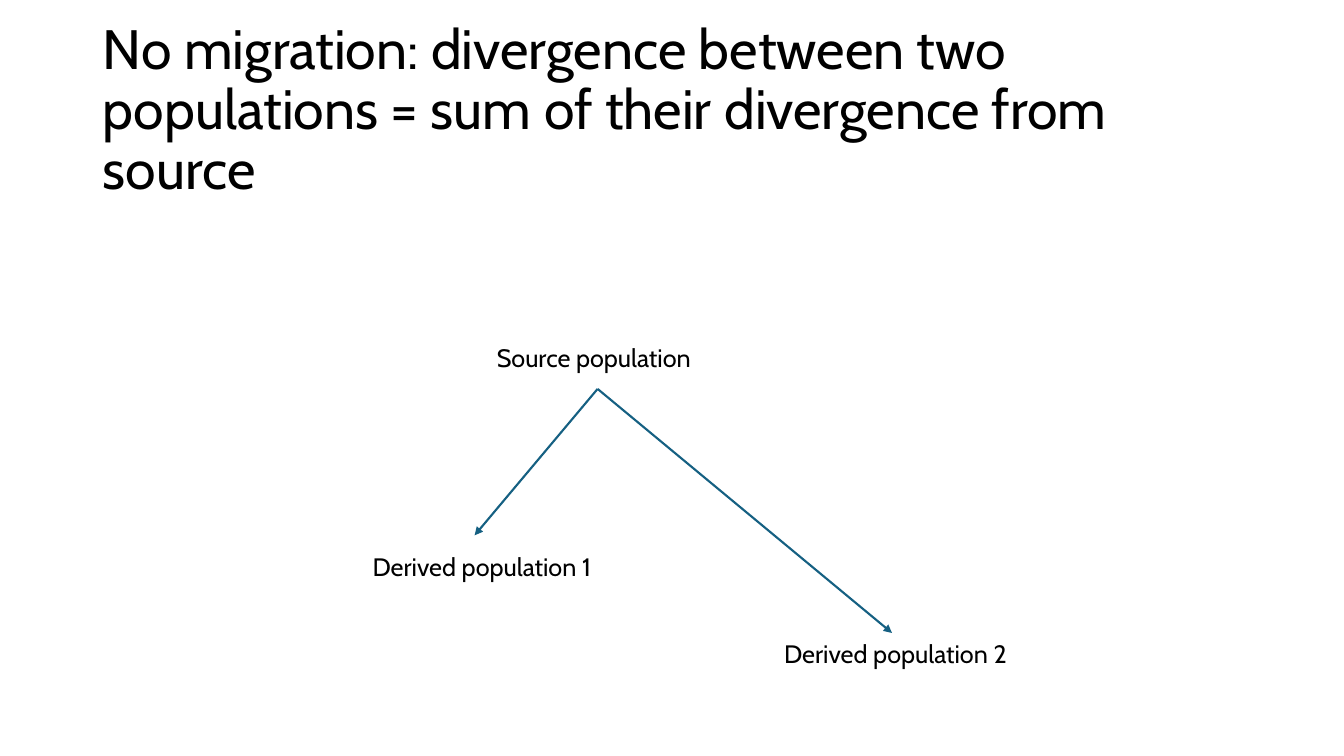
"""Build a slide on divergence of two populations from one source."""
import dataclasses

import lxml.etree
import pptx
import pptx.dml.color
import pptx.enum.shapes
import pptx.enum.text
import pptx.oxml.ns
import pptx.util
from pptx.util import Cm


@dataclasses.dataclass(frozen=True)
class Theme:
    font: str = "Cabin"
    text: str = "000000"
    arrow: str = "156082"
    title_size: float = 39.6
    label_size: float = 18
    arrow_width: float = 1.5


THEME = Theme()


def color(value):
    return pptx.dml.color.RGBColor.from_string(value)


def style_text(frame, text, size):
    frame.text = text
    paragraph = frame.paragraphs[0]
    paragraph.font.name = THEME.font
    paragraph.font.size = pptx.util.Pt(size)
    paragraph.font.color.rgb = color(THEME.text)
    return paragraph


def set_title(slide, text):
    title = slide.shapes.title
    title.left, title.top = Cm(2.34), Cm(0.97)
    title.width, title.height = Cm(29.21), Cm(3.68)
    frame = title.text_frame
    frame.word_wrap = True
    frame.auto_size = pptx.enum.text.MSO_AUTO_SIZE.NONE
    frame.vertical_anchor = pptx.enum.text.MSO_ANCHOR.MIDDLE
    paragraph = style_text(frame, text, THEME.title_size)
    paragraph.alignment = pptx.enum.text.PP_ALIGN.LEFT
    paragraph.line_spacing = 0.9


def add_label(slide, text, left, top, width):
    label = slide.shapes.add_textbox(Cm(left), Cm(top), Cm(width), Cm(1.02))
    frame = label.text_frame
    frame.word_wrap = False
    frame.auto_size = pptx.enum.text.MSO_AUTO_SIZE.SHAPE_TO_FIT_TEXT
    style_text(frame, text, THEME.label_size)


def add_arrow(slide, start, end):
    arrow = slide.shapes.add_connector(
        pptx.enum.shapes.MSO_CONNECTOR.STRAIGHT, *map(Cm, start + end))
    arrow.line.color.rgb = color(THEME.arrow)
    arrow.line.width = pptx.util.Pt(THEME.arrow_width)
    qn = pptx.oxml.ns.qn
    properties = arrow.element.spPr
    lxml.etree.SubElement(properties.find(qn("a:ln")), qn("a:tailEnd"), type="triangle")
    lxml.etree.SubElement(properties, qn("a:effectLst"))


def main():
    deck = pptx.Presentation()
    deck.slide_width, deck.slide_height = Cm(33.87), Cm(19.05)
    slide = deck.slides.add_slide(deck.slide_layouts.get_by_name("Title Only"))
    set_title(slide, "No migration: divergence between two populations = "
                     "sum of their divergence from source")

    source = (15.06, 9.8)
    for derived in ((11.96, 13.49), (22.48, 15.95)):
        add_arrow(slide, source, derived)

    add_label(slide, "Derived population 1", 9.14, 13.77, 6.25)
    add_label(slide, "Source population", 12.27, 8.51, 5.59)
    add_label(slide, "Derived population 2", 19.51, 15.95, 6.25)
    deck.save("out.pptx")


if __name__ == "__main__":
    main()
